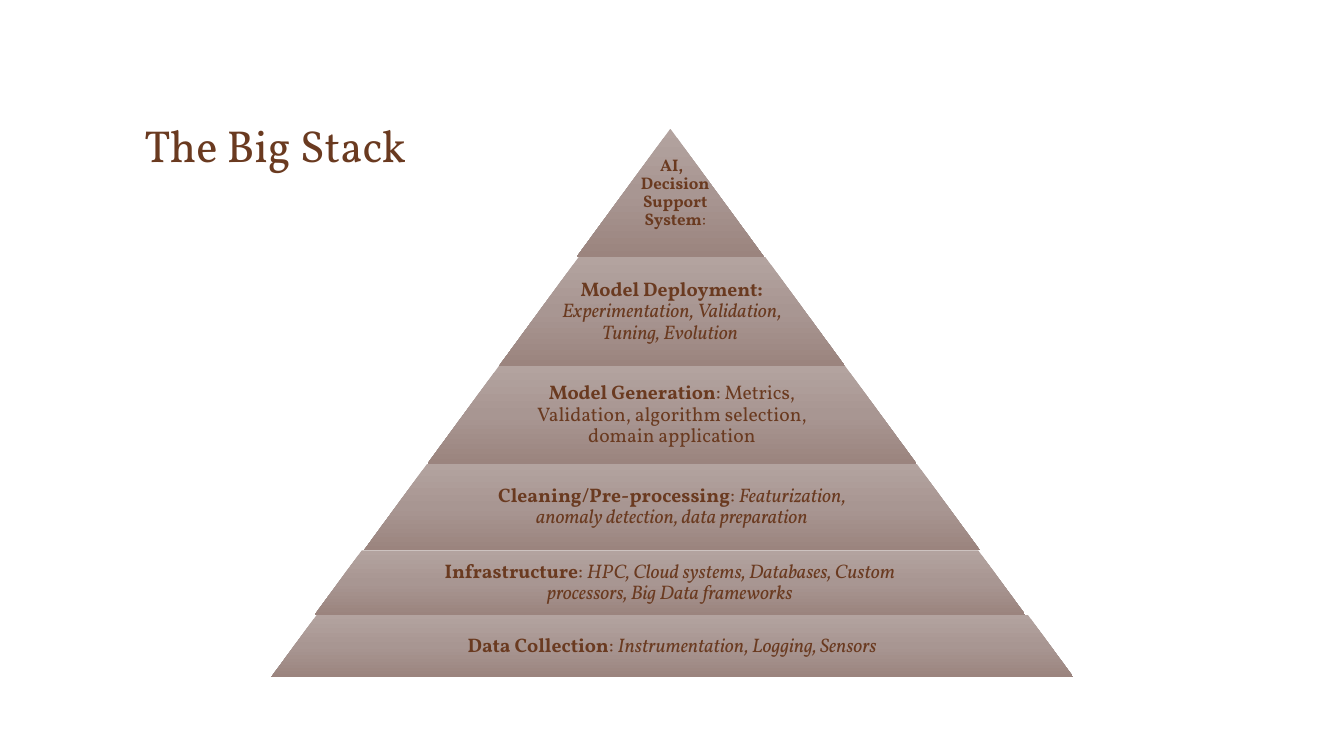
from copy import deepcopy
from dataclasses import dataclass

from pptx import Presentation
from pptx import util as u
from pptx.dml.color import RGBColor
from pptx.enum import shapes, text
from pptx.oxml.ns import qn

COLORS = {"text": "6A3A20", "light": "B3A39F", "middle": "A89692", "dark": "9B847E"}
FONT = "Vollkorn"
SLOPE = 0.731
LABEL_SHARE = 0.65  # label width as a share of its tier
LABEL_INSET = 1.5


@dataclass(frozen=True)
class Run:
    text: str
    bold: bool = False
    italic: bool = False


@dataclass(frozen=True)
class Tier:
    left: float
    width: float
    height: float
    runs: tuple[Run, ...]
    size: float = 14
    label_share: float = LABEL_SHARE
    margin: float = 0
    indent: float = 0


PYRAMID_TOP = 92.2
TIERS = (
    Tier(411.9, 133.9, 91.4,
         (Run("AI, \vDecision \vSupport \vSystem", bold=True), Run(": ")),
         size=12, label_share=1, margin=9.4, indent=-5),
    Tier(356.5, 247, 77.8,
         (Run("Model Deployment: ", bold=True),
          Run("Experimentation, Validation, Tuning, Evolution ", italic=True))),
    Tier(305.4, 349.2, 69.8,
         (Run("Model Generation", bold=True),
          Run(": Metrics, Validation, algorithm selection, domain application"))),
    Tier(260, 440, 61.9,
         (Run("Cleaning/Pre-processing", bold=True), Run(": "),
          Run("Featurization, anomaly detection, data preparation", italic=True))),
    Tier(224.8, 507.6, 46.1,
         (Run("Infrastructure", bold=True), Run(": "),
          Run("HPC, Cloud systems, Databases, Custom processors, Big Data frameworks",
              italic=True))),
    Tier(193.7, 573.1, 44.6,
         (Run("Data Collection", bold=True), Run(": "),
          Run("Instrumentation, Logging, Sensors", italic=True))),
)


def add_runs(paragraph, runs: tuple[Run, ...], size: float) -> None:
    for item in runs:
        for index, line in enumerate(item.text.split("\v")):
            if index:
                paragraph.add_line_break()
            run = paragraph.add_run()
            run.text = line
            font = run.font
            font.name, font.size = FONT, u.Pt(size)
            font.bold, font.italic = item.bold, item.italic
            font.color.rgb = RGBColor.from_string(COLORS["text"])


def add_text_box(slide, left: float, top: float, width: float, height: float):
    box = slide.shapes.add_textbox(u.Pt(left), u.Pt(top), u.Pt(width), u.Pt(height))
    box.text_frame.word_wrap = True
    return box.text_frame


def add_slab(slide, tier: Tier, top: float) -> None:
    shape = slide.shapes.add_shape(
        shapes.MSO_SHAPE.TRAPEZOID,
        u.Pt(tier.left), u.Pt(top), u.Pt(tier.width), u.Pt(tier.height))
    shape.adjustments[0] = SLOPE
    shape.shadow.inherit = False
    shape.line.fill.background()
    shape.fill.gradient()
    shape.fill.gradient_angle = 270
    # The default gradient has two stops; a third one holds the middle colour
    stop_list = shape.element.spPr.find(".//" + qn("a:gsLst"))
    stop_list.append(deepcopy(stop_list[0]))
    names = ("light", "middle", "dark")
    for index, (stop, name) in enumerate(zip(shape.fill.gradient_stops, names)):
        stop.position = index / 2
        stop.color.rgb = RGBColor.from_string(COLORS[name])


def add_label(slide, tier: Tier, top: float) -> None:
    width = tier.width * tier.label_share
    left = tier.left + (tier.width - width) / 2
    frame = add_text_box(slide, left, top, width, tier.height)
    frame.vertical_anchor = text.MSO_ANCHOR.MIDDLE
    frame.margin_left = frame.margin_right = u.Pt(LABEL_INSET)
    frame.margin_top = frame.margin_bottom = u.Pt(LABEL_INSET)
    paragraph = frame.paragraphs[0]
    paragraph.alignment = text.PP_ALIGN.CENTER
    paragraph.line_spacing = 0.9
    properties = paragraph._p.get_or_add_pPr()
    properties.set("marL", str(u.Pt(tier.margin)))
    properties.set("indent", str(u.Pt(tier.indent)))
    add_runs(paragraph, tier.runs, tier.size)


def main() -> None:
    presentation = Presentation()
    presentation.slide_width, presentation.slide_height = u.Pt(960), u.Pt(540)
    slide = presentation.slides.add_slide(presentation.slide_layouts[6])

    # Title
    title = add_text_box(slide, 96, 34, 768, 92)
    title.vertical_anchor = text.MSO_ANCHOR.BOTTOM
    add_runs(title.paragraphs[0], (Run("The Big Stack"),), 32)

    # Pyramid, from tip to base
    top = PYRAMID_TOP
    for tier in TIERS:
        add_slab(slide, tier, top)
        add_label(slide, tier, top)
        top += tier.height

    presentation.save("out.pptx")


if __name__ == "__main__":
    main()
